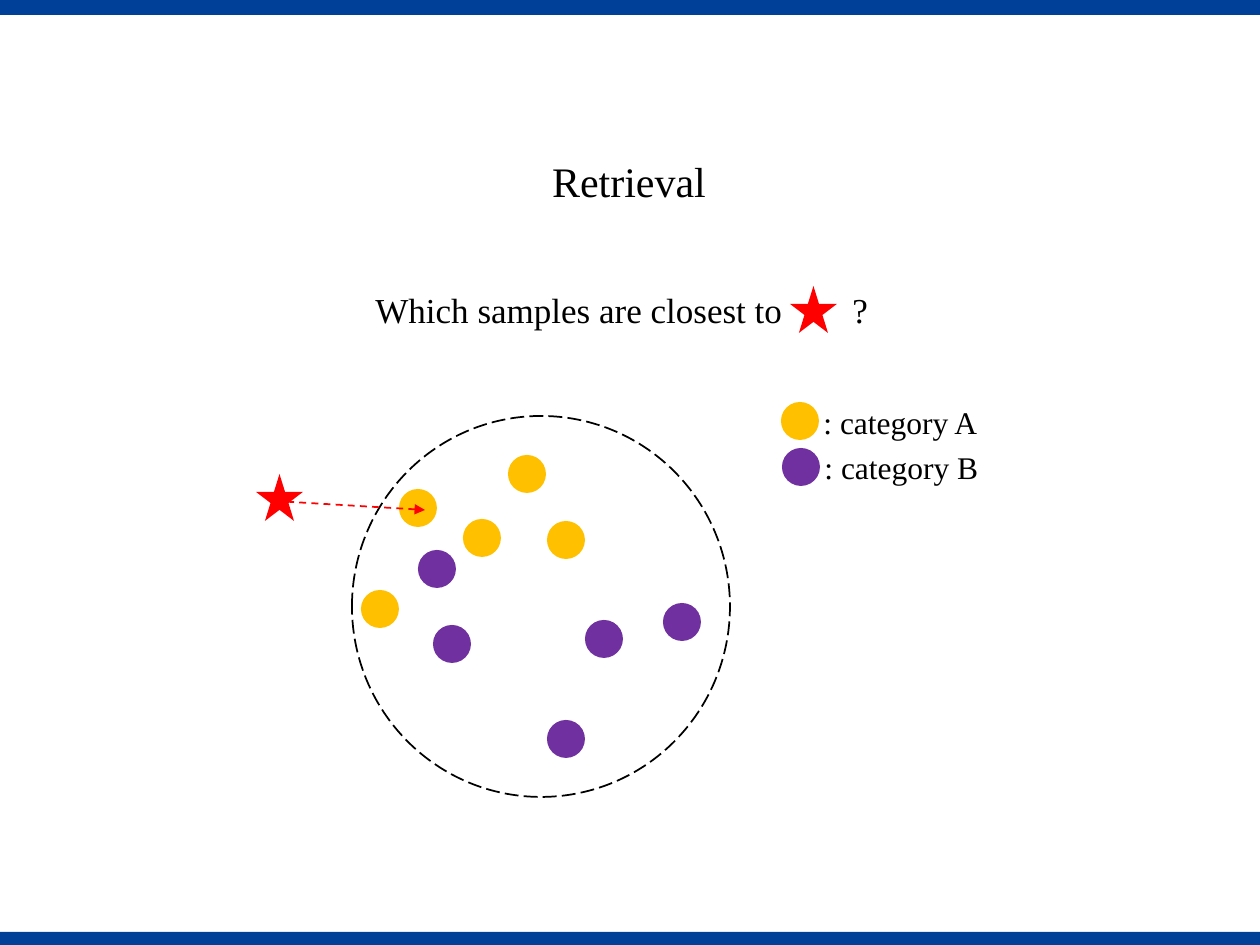
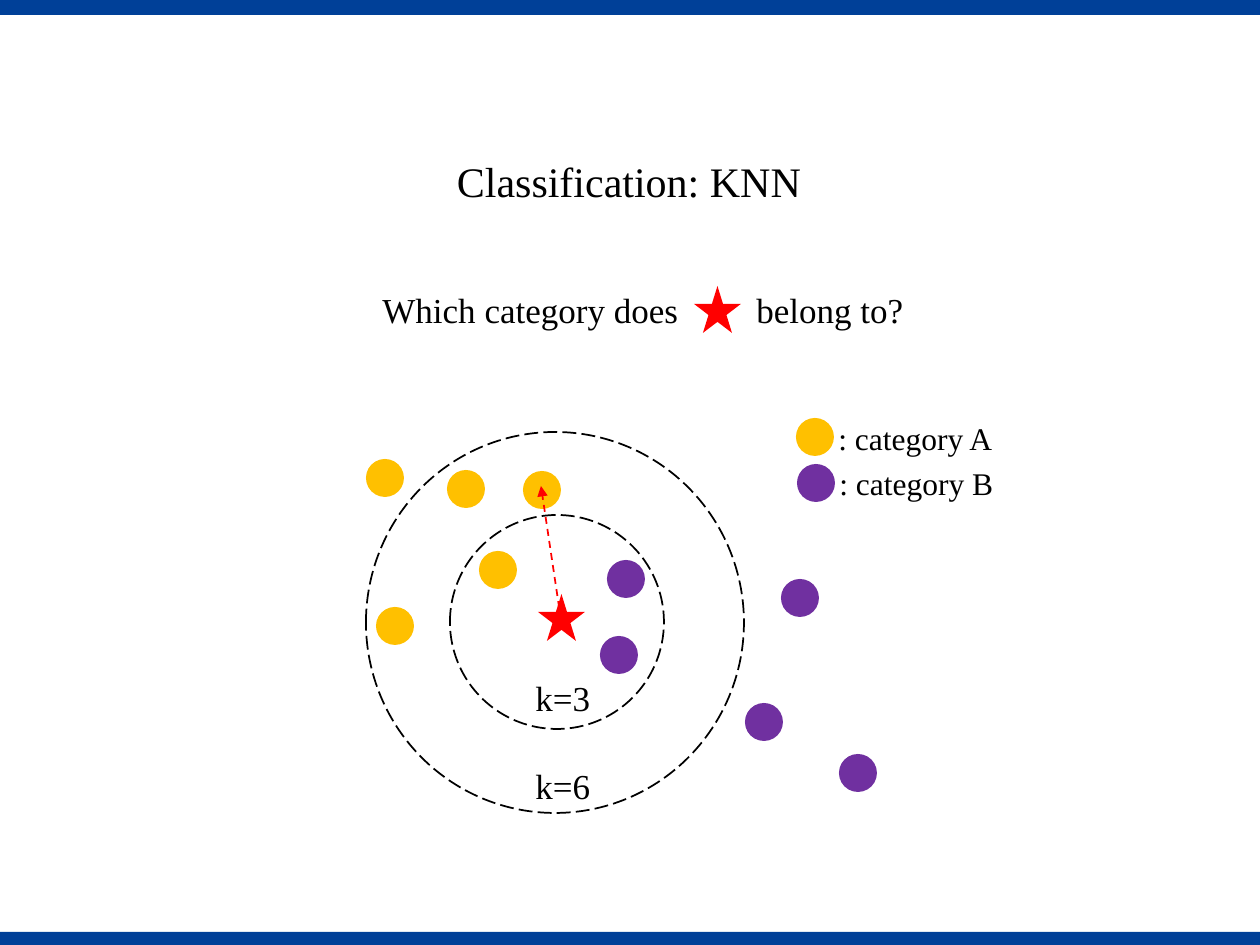
from lxml import etree
from pptx import Presentation
from pptx.dml.color import RGBColor
from pptx.enum.dml import MSO_LINE
from pptx.enum.shapes import MSO_CONNECTOR, MSO_SHAPE
from pptx.enum.text import PP_ALIGN
from pptx.oxml.ns import qn
from pptx.util import Pt

RECT, OVAL, STAR = MSO_SHAPE.RECTANGLE, MSO_SHAPE.OVAL, MSO_SHAPE.STAR_5_POINT
STRAIGHT = MSO_CONNECTOR.STRAIGHT
DASH, LONG_DASH = MSO_LINE.DASH, MSO_LINE.LONG_DASH
CENTER, LEFT = PP_ALIGN.CENTER, PP_ALIGN.LEFT

PX = 914400 / 126
WIDTH, HEIGHT = 1260, 945
DOT, STAR_SIZE = 38, 47
FONT = "Times New Roman"
COLORS = {
    "band": "004098",
    "A": "FFC000",
    "B": "7030A0",
    "query": "FF0000",
    "text": "000000",
}
RGB = {name: RGBColor.from_string(value) for name, value in COLORS.items()}

# Dots are given by their centres, stars and boxes by their left top corner.
SLIDES = [
    {
        "title": "Retrieval", "title_width": 180,
        "question": "Which samples are closest to\t?",
        "question_box": (363, 282, 522, 55), "tab": 477,
        "stars": [(256, 474), (790, 286)],
        "A": [(566, 540), (527, 474), (418, 508), (380, 609), (482, 538)],
        "B": [(452, 644), (437, 569), (604, 639), (566, 739), (682, 622)],
        "rings": [(352, 416, 378, 381)],
        "arrow": (275, 501, 425, 510),
        "legend": (800, 421),
        "labels": [],
    },
    {
        "title": "Classification: KNN", "title_width": 373,
        "question": "Which category does\tbelong to?",
        "question_box": (370, 282, 551, 55), "tab": 374,
        "stars": [(538, 594), (694, 286)],
        "A": [(385, 478), (542, 490), (466, 489), (395, 626), (498, 570)],
        "B": [(626, 579), (800, 598), (619, 655), (764, 722), (858, 773)],
        "rings": [(450, 515, 214, 214), (366, 432, 378, 381)],
        "arrow": (561, 620, 541, 486),
        "legend": (815, 437),
        "labels": [("k=3", 523, 670), ("k=6", 523, 758)],
    },
]


def add_shape(s, kind, x, y, w, h, fill=None):
    """Add a filled shape, or a long-dashed outline if there is no fill."""
    sp = s.shapes.add_shape(kind, *(round(v * PX) for v in (x, y, w, h)))
    sp.shadow.inherit = False
    if fill:
        sp.fill.solid()
        sp.fill.fore_color.rgb = RGB[fill]
        sp.line.fill.background()
    else:
        sp.fill.background()
        sp.line.color.rgb = RGB["text"]
        sp.line.width = Pt(1)
        sp.line.dash_style = LONG_DASH


def add_text(s, text, x, y, w, h, size, align=LEFT, tab=None):
    """Add one line of text; tab is the px position of its tab stop."""
    tf = s.shapes.add_textbox(*(round(v * PX) for v in (x, y, w, h))).text_frame
    tf.text = text
    tf.word_wrap = tab is not None
    p = tf.paragraphs[0]
    p.alignment = align
    if tab:
        tabs = etree.SubElement(p._p.get_or_add_pPr(), qn("a:tabLst"))
        etree.SubElement(tabs, qn("a:tab"), pos=str(round(tab * PX)), algn="l")
    for r in p.runs:
        r.font.name = FONT
        r.font.size = Pt(size)
        r.font.color.rgb = RGB["text"]


prs = Presentation()
prs.slide_width, prs.slide_height = round(WIDTH * PX), round(HEIGHT * PX)

for data in SLIDES:
    s = prs.slides.add_slide(prs.slide_layouts[6])
    add_shape(s, RECT, 0, 932, WIDTH, 13, "band")
    add_shape(s, RECT, 0, 0, WIDTH, 15, "band")

    # Samples, query star and neighbourhoods
    for category in "AB":
        for cx, cy in data[category]:
            add_shape(s, OVAL, cx - DOT / 2, cy - DOT / 2, DOT, DOT, category)
    for x, y in data["stars"]:
        add_shape(s, STAR, x, y, STAR_SIZE, STAR_SIZE, "query")
    for ring in data["rings"]:
        add_shape(s, OVAL, *ring)

    # Arrow from the query to a sample
    arrow = s.shapes.add_connector(STRAIGHT, *(round(v * PX) for v in data["arrow"]))
    arrow.line.color.rgb = RGB["query"]
    arrow.line.width = Pt(1)
    arrow.line.dash_style = DASH
    etree.SubElement(arrow.line._get_or_add_ln(), qn("a:tailEnd"), type="triangle")
    etree.SubElement(arrow._element.spPr, qn("a:effectLst"))

    # Legend
    cx, cy = data["legend"]
    for i, category in enumerate("AB"):
        add_text(s, f": category {category}", cx + 11 + i, cy - 24 + 45 * i, 181, 50, 18)
        add_shape(s, OVAL, cx + i - DOT / 2, cy + 46 * i - DOT / 2, DOT, DOT, category)

    # Question, ring labels and title
    add_text(s, data["question"], *data["question_box"], 20, tab=data["tab"])
    for label, x, y in data["labels"]:
        add_text(s, label, x, y, 80, 55, 20)
    w = data["title_width"]
    add_text(s, data["title"], (WIDTH - w) / 2 - 1, 149, w, 63, 24, CENTER)

prs.save("out.pptx")
